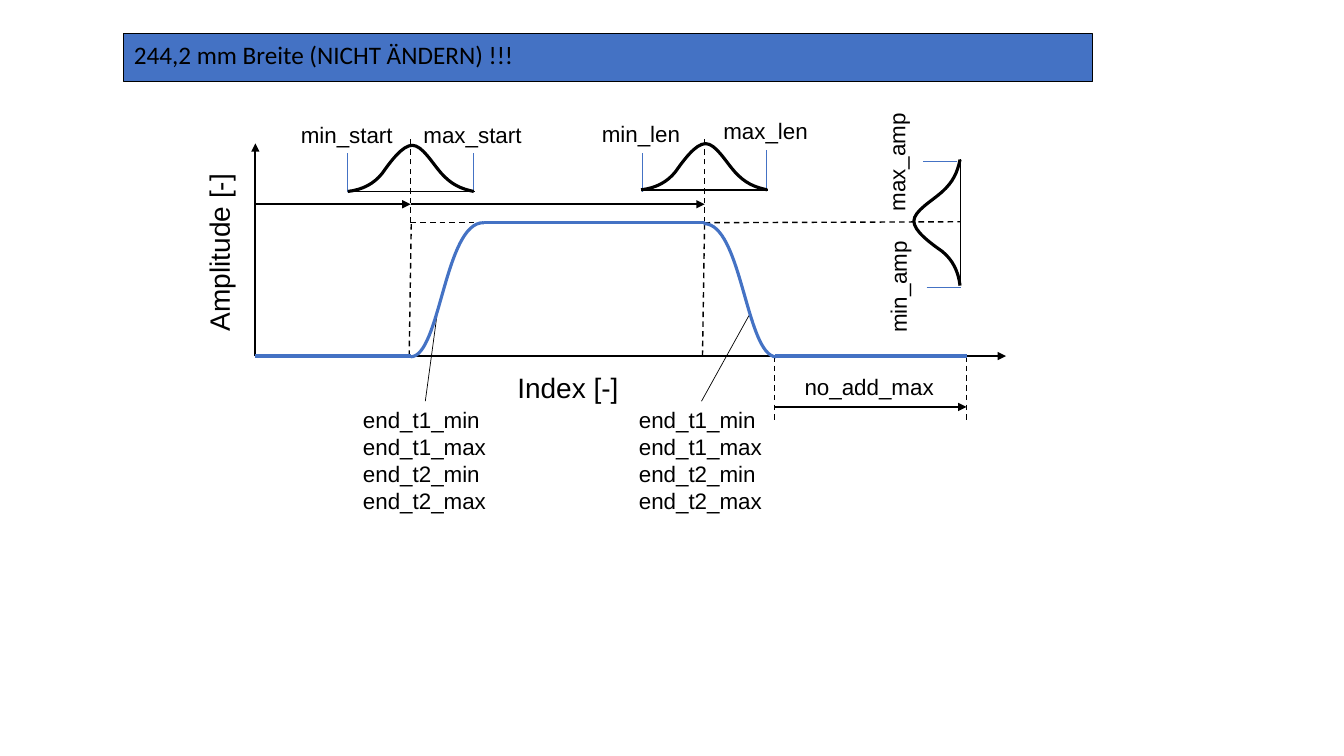
from lxml import etree
from pptx import Presentation, util as u
from pptx.dml.color import RGBColor
from pptx.enum import dml, shapes, text
from pptx.oxml.ns import qn

THEME = {
    "black": RGBColor(0, 0, 0), "blue": RGBColor(0x44, 0x72, 0xC4),
    "banner_font": "Calibri", "label_font": "Arial",
    "banner_size": 18, "label_size": 16, "axis_size": 20,
}

# Signal landmarks in points
ORIGIN, START, RISEN, FALL, FALLEN, END = 182.4, 293.3, 345.6, 503.3, 553.4, 690.4
AXIS_END, AXIS_TOP = 718.6, 102.4
BASE, TOP, SPAN_Y, ADD_Y = 254.3, 159.1, 145.9, 290.7

BANNER = ("244,2 mm Breite (NICHT ÄNDERN) !!!", 88.5, 24.2, 692, 34.2)

# Text, left, top, width, height, rotation, size
LABELS = [
    ("no_add_max", 567.6, 263.2, 108, 26.6, 0, "label_size"),
    ("min_start", 207.8, 83.1, 81.4, 26.6, 0, "label_size"),
    ("max_start", 295.4, 83.1, 85.7, 26.6, 0, "label_size"),
    ("min_len", 422.8, 82.1, 71.3, 26.6, 0, "label_size"),
    ("max_len", 509.6, 80.3, 75.6, 26.6, 0, "label_size"),
    ("min_amp", 601.3, 191.2, 80.6, 26.6, 270, "label_size"),
    ("max_amp", 597.6, 101.8, 85.7, 26.6, 270, "label_size"),
    ("Index [-]", 362.4, 261.4, 87.1, 31.7, 0, "axis_size"),
    ("Amplitude [-]", 92.9, 164.2, 127.4, 31.7, 270, "axis_size"),
]
EDGE_LIMITS = ["end_t1_min", "end_t1_max", "end_t2_min", "end_t2_max"]
LIMITS_LEFT, LIMITS_TOP = (449.3, 252.2), 286.6

# Line kinds: colour, width, dashed, arrow
KINDS = {
    "axis": ("black", 1.5, False, True),
    "guide": ("black", 1, True, False),
    "bell_base": ("black", 1, False, False),
    "signal": ("blue", 2.25, False, False),
    "tick": ("blue", 0.5, False, False),
    "leader": ("black", 0.5, False, False),
    "bell": ("black", 2.25, False, False),
}
LINES = {
    "axis": [(ORIGIN, BASE, AXIS_END, BASE), (ORIGIN, BASE, ORIGIN, AXIS_TOP),
             (FALLEN, ADD_Y, END, ADD_Y), (START, SPAN_Y, FALL, SPAN_Y),
             (ORIGIN, SPAN_Y, START, SPAN_Y)],
    "guide": [(292.3, BASE, 293.8, 157.7), (START, TOP, RISEN, TOP),
              (FALLEN, BASE, FALLEN, 301.7), (END, BASE, END, 301.7),
              (START, TOP, START, 99.4), (FALL, TOP, FALL, 98),
              (FALL, TOP, 686.2, 158.4), (501.8, BASE, FALL, 157.7)],
    "bell_base": [(249.1, 136.8, 339.1, 136.8), (458.6, 135.6, 548.6, 135.6),
                  (685.9, 203.8, 685.9, 113.8)],
    "tick": [(248.4, 109.4, 248.4, 136.8), (338.4, 109.4, 338.4, 136.8),
             (458.6, 109.4, 458.6, 136.8), (547.6, 107.3, 547.6, 134.6),
             (661.9, 205.2, 686.2, 205.2), (659.5, 115.2, 683.3, 115.2)],
    "signal": [(START, BASE, ORIGIN, BASE), (END, BASE, FALLEN, BASE),
               (RISEN, TOP, FALL, TOP)],
    "leader": [(312.1, 225.4, 303.8, 286.6), (535, 225.4, 501.1, 286.6)],
}

# Bezier control points; a bell starts at its lower left, y up
BELL = [(0, 0), (10.8, 1.3), (18.7, 5.6), (24.5, 12.8), (30.2, 20.8), (38.9, 33),
        (46.1, 33), (53.3, 33), (60.5, 20), (67, 12.8), (74.2, 4.9), (80.6, 2),
        (90, 0)]
# Lower left corner and rotation
BELL_FEET = [(248.4, 136.8, 0), (457.9, 135.6, 0), (624.3, 175.5, 270)]
EDGES = [
    [(START, 254.9), (314.6, 254.9), (317.5, 158.4), (RISEN, TOP)],
    [(554.4, 254.9), (532.8, 254.2), (529.9, TOP), (502.6, 159.8)],
]


def style_line(line, kind):
    """Apply a line kind's colour, width and dash."""
    colour, width, dashed, _ = KINDS[kind]
    line.color.rgb = THEME[colour]
    line.width = u.Pt(width)
    if dashed:
        line.dash_style = dml.MSO_LINE.DASH


def add_line(slide, kind, ends):
    """Draw a straight line of one kind, with an arrowhead if it has one."""
    link = slide.shapes.add_connector(
        shapes.MSO_CONNECTOR.STRAIGHT, *[u.Pt(v) for v in ends])
    style_line(link.line, kind)
    if KINDS[kind][3]:
        outline = link._element.spPr.find(qn("a:ln"))
        etree.SubElement(outline, qn("a:tailEnd"), type="triangle")
    etree.SubElement(link._element.spPr, qn("a:effectLst"))


def bend(curve):
    """Turn each three straight steps of an outline into one cubic curve."""
    steps = list(curve._element.iter(qn("a:lnTo")))
    for first in range(0, len(steps), 3):
        cubic = etree.Element(qn("a:cubicBezTo"))
        steps[first].addprevious(cubic)
        for step in steps[first:first + 3]:
            cubic.append(step[0])
            step.getparent().remove(step)


def add_curve(slide, kind, controls, rotation=0):
    """Draw an open, unfilled curve through its Bezier control points."""
    points = [(u.Pt(x), u.Pt(y)) for x, y in controls]
    builder = slide.shapes.build_freeform(*points[0])
    builder.add_line_segments(points[1:], close=False)
    curve = builder.convert_to_shape()
    bend(curve)
    curve.rotation = rotation
    curve.shadow.inherit = False
    curve.fill.background()
    style_line(curve.line, kind)


def format_text(frame, font, size):
    """Set the font of every run, aligned left."""
    for paragraph in frame.paragraphs:
        paragraph.alignment = text.PP_ALIGN.LEFT
        for run in paragraph.runs:
            run.font.name = THEME[font]
            run.font.size = u.Pt(THEME[size])
            run.font.color.rgb = THEME["black"]


def add_label(slide, words, left, top, width, height, rotation, size, wrap=False):
    """Add a label that fits its text."""
    label = slide.shapes.add_textbox(*[u.Pt(v) for v in (left, top, width, height)])
    label.rotation = rotation
    frame = label.text_frame
    frame.text = words
    frame.word_wrap = wrap
    frame.auto_size = text.MSO_AUTO_SIZE.SHAPE_TO_FIT_TEXT
    format_text(frame, "label_font", size)


def add_banner(slide):
    """Add the width notice across the top."""
    words, *box = BANNER
    banner = slide.shapes.add_shape(shapes.MSO_SHAPE.RECTANGLE, *[u.Pt(v) for v in box])
    banner.shadow.inherit = False
    banner.fill.solid()
    banner.fill.fore_color.rgb = THEME["blue"]
    banner.line.color.rgb = THEME["black"]
    banner.line.width = u.Pt(0.75)
    banner.text_frame.text = words
    banner.text_frame.vertical_anchor = text.MSO_ANCHOR.TOP
    format_text(banner.text_frame, "banner_font", "banner_size")


deck = Presentation()
deck.slide_width, deck.slide_height = u.Pt(960), u.Pt(540)
slide = deck.slides.add_slide(deck.slide_layouts[6])
add_banner(slide)
for kind, segments in LINES.items():
    for ends in segments:
        add_line(slide, kind, ends)
for left, foot, rotation in BELL_FEET:
    add_curve(slide, "bell", [(left + x, foot - y) for x, y in BELL], rotation)
for edge in EDGES:
    add_curve(slide, "signal", edge)
for label in LABELS:
    add_label(slide, *label)
for left in LIMITS_LEFT:
    add_label(slide, "\n".join(EDGE_LIMITS), left, LIMITS_TOP, 103.7, 85, 0,
              "label_size", wrap=True)
deck.save("out.pptx")
